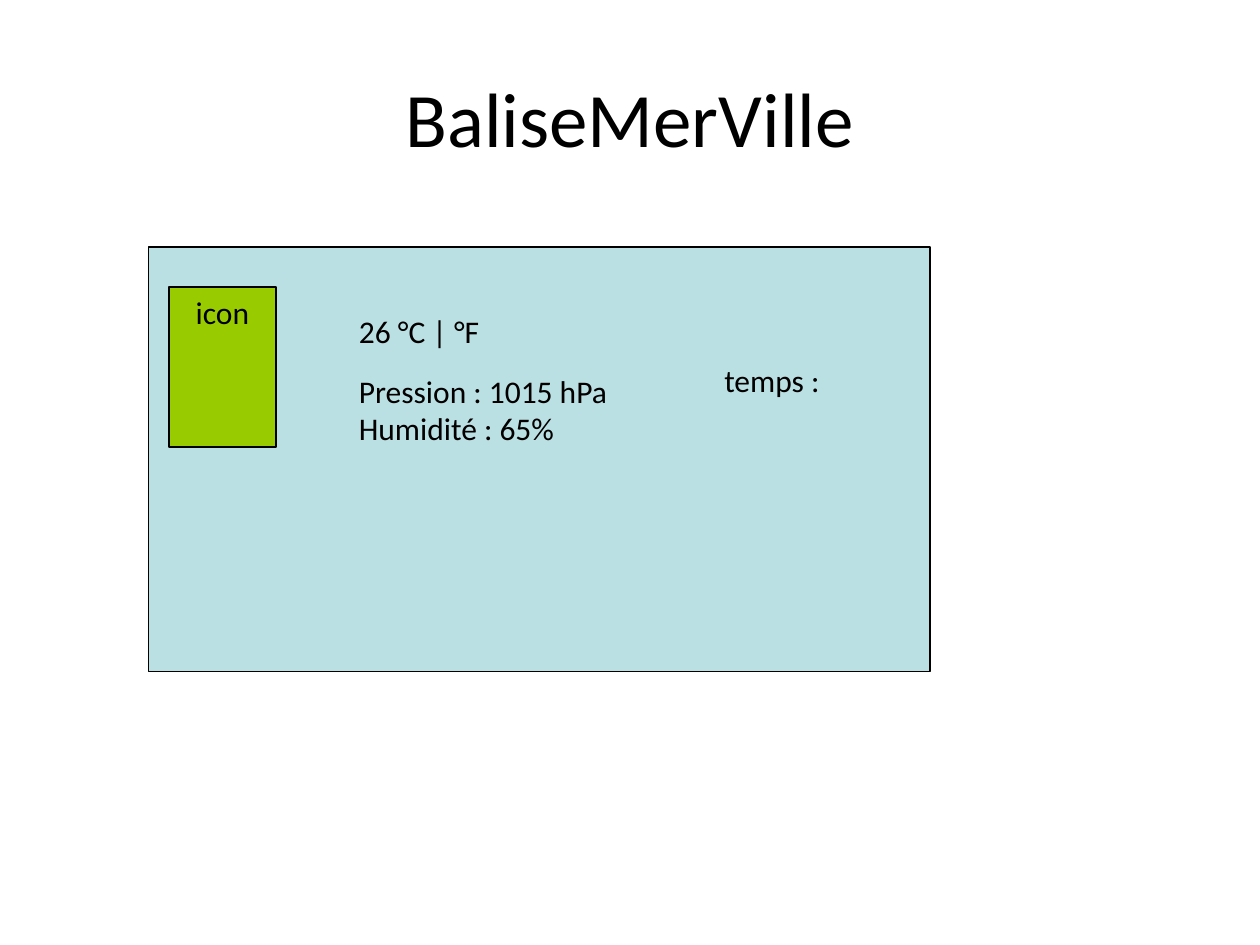
from dataclasses import dataclass

from pptx import Presentation
from pptx.dml.color import RGBColor
from pptx.enum.shapes import MSO_SHAPE as Shape
from pptx.enum.text import MSO_ANCHOR as Anchor, PP_ALIGN as Align
from pptx.util import Inches, Pt

BLACK = "000000"


@dataclass
class Area:
    left: float
    top: float
    width: float
    height: float

    def lengths(self) -> list:
        return [Inches(value) for value in (self.left, self.top, self.width, self.height)]


@dataclass
class Panel:
    area: Area
    fill: str
    label: str = ""


@dataclass
class Reading:
    area: Area
    lines: list[str]


CARD = Panel(Area(1.18, 1.96, 6.2, 3.37), "BBE0E3")
ICON = Panel(Area(1.34, 2.28, 0.85, 1.27), "99CC00", "icon")
READINGS = [
    Reading(Area(5.65, 2.82, 1.18, 0.4), ["temps\u00a0:"]),
    Reading(Area(2.75, 2.43, 1.18, 0.4), ["26 °C | °F"]),
    Reading(Area(2.75, 2.9, 2.43, 0.7), ["Pression\u00a0: 1015 hPa", "Humidité\u00a0: 65%"]),
]


def colour(value: str) -> RGBColor:
    return RGBColor.from_string(value)


def write(frame, lines: list[str], size: int, align: Align, anchor: Anchor) -> None:
    frame.word_wrap = True
    frame.vertical_anchor = anchor
    frame.text = "\n".join(lines)
    for para in frame.paragraphs:
        para.alignment = align
        for span in para.runs:
            for name, value in {"name": "Calibri", "size": Pt(size), "bold": False}.items():
                setattr(span.font, name, value)
            span.font.color.rgb = colour(BLACK)


def draw_panel(page, panel: Panel) -> None:
    box = page.shapes.add_shape(Shape.RECTANGLE, *panel.area.lengths())
    box.shadow.inherit = False
    box.fill.solid()
    box.fill.fore_color.rgb = colour(panel.fill)
    box.line.color.rgb = colour(BLACK)
    box.line.width = Pt(1)
    if panel.label:
        write(box.text_frame, [panel.label], 18, Align.CENTER, Anchor.TOP)


def draw_reading(page, reading: Reading) -> None:
    box = page.shapes.add_textbox(*reading.area.lengths())
    write(box.text_frame, reading.lines, 18, Align.LEFT, Anchor.TOP)


def draw_title(page, text: str, area: Area) -> None:
    title = page.shapes.title
    for name, value in zip(("left", "top", "width", "height"), area.lengths()):
        setattr(title, name, value)
    write(title.text_frame, [text], 44, Align.CENTER, Anchor.MIDDLE)


def main() -> None:
    deck = Presentation()
    deck.slide_width, deck.slide_height = Inches(10), Inches(7.5)
    page = deck.slides.add_slide(deck.slide_layouts.get_by_name("Title Only"))
    draw_title(page, "BaliseMerVille", Area(0.5, 0.3, 9, 1.25))
    draw_panel(page, CARD)
    for reading in READINGS:
        draw_reading(page, reading)
    draw_panel(page, ICON)
    deck.save("out.pptx")


if __name__ == "__main__":
    main()
